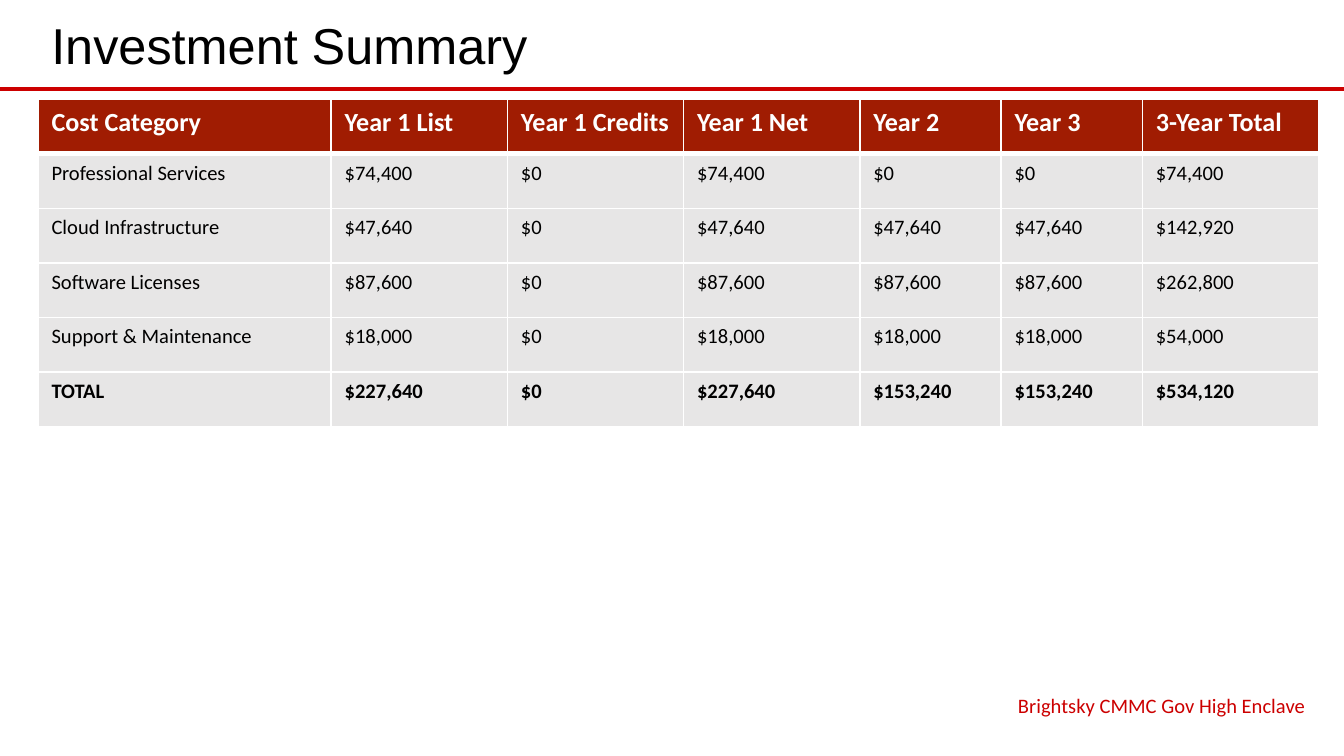
from lxml import etree
from pptx import Presentation
from pptx import util as u
from pptx.dml.color import RGBColor
from pptx.enum import shapes, text
from pptx.oxml.ns import qn

COLORS = {
    "rule": "CC0000",
    "header": "A01C02",
    "body": "E7E6E6",
    "border": "FFFFFF",
    "ink": "000000",
    "header_ink": "FFFFFF",
}
FORMATS = {
    "title": {"name": "Arial", "size": u.Pt(27), "color": "ink"},
    "footer": {"name": "Calibri", "size": u.Pt(11), "color": "rule"},
    "header": {"name": "Calibri", "size": u.Pt(14), "bold": True, "color": "header_ink"},
    "body": {"name": "Calibri", "size": u.Pt(11), "bold": False, "color": "ink"},
    "total": {"name": "Calibri", "size": u.Pt(11), "bold": True, "color": "ink"},
}
MARGIN, CONTENT_WIDTH = 0.72, 24.2
HEADINGS = ["Cost Category", "Year 1 List", "Year 1 Credits", "Year 1 Net",
            "Year 2", "Year 3", "3-Year Total"]
COLUMN_WIDTHS = [5.54, 3.33, 3.33, 3.33, 2.67, 2.67, 3.33]
ROW_HEIGHT = 1.03
# Category: year 1 list, year 1 credits, year 2, year 3
COSTS = {
    "Professional Services": (74400, 0, 0, 0),
    "Cloud Infrastructure": (47640, 0, 47640, 47640),
    "Software Licenses": (87600, 0, 87600, 87600),
    "Support & Maintenance": (18000, 0, 18000, 18000),
}


def cost_row(category, amounts):
    """Add the year 1 net and three-year total, and format as dollars."""
    listed, credits, year_2, year_3 = amounts
    net = listed - credits
    values = listed, credits, net, year_2, year_3, net + year_2 + year_3
    return [category] + [f"${value:,}" for value in values]


class SlideBuilder:
    def __init__(self, slide, colors, formats):
        self.slide = slide
        self.colors = colors
        self.formats = formats

    def color(self, key):
        return RGBColor.from_string(self.colors[key])

    def style(self, paragraph, role):
        for attribute, value in self.formats[role].items():
            if attribute == "color":
                paragraph.font.color.rgb = self.color(value)
            else:
                setattr(paragraph.font, attribute, value)

    def rule(self, y, width):
        line = self.slide.shapes.add_connector(
            shapes.MSO_CONNECTOR.STRAIGHT, 0, u.Cm(y), width, u.Cm(y))
        line.line.color.rgb = self.color("rule")
        line.line.width = u.Pt(2.25)
        etree.SubElement(line._element.spPr, qn("a:effectLst"))

    def text(self, words, top, left, width, height, role, align=text.PP_ALIGN.LEFT):
        box = self.slide.shapes.add_textbox(u.Cm(left), u.Cm(top), u.Cm(width), u.Cm(height))
        frame = box.text_frame
        frame.word_wrap = True
        frame.vertical_anchor = text.MSO_ANCHOR.MIDDLE
        paragraph = frame.paragraphs[0]
        paragraph.text = words
        paragraph.alignment = align
        self.style(paragraph, role)

    def borders(self, cell, **widths):
        properties = cell._tc.get_or_add_tcPr()
        for side in ("L", "R", "T", "B"):
            line = etree.SubElement(properties, qn(f"a:ln{side}"),
                                    w=str(u.Pt(widths.get(side, 1))))
            fill = etree.SubElement(line, qn("a:solidFill"))
            etree.SubElement(fill, qn("a:srgbClr"), val=self.colors["border"])

    def table(self, rows, left, top, column_widths, row_height):
        """Draw rows with the first as header and the last as total."""
        table = self.slide.shapes.add_table(
            len(rows), len(column_widths), u.Cm(left), u.Cm(top),
            u.Cm(sum(column_widths)), u.Cm(row_height * len(rows))).table
        for column, width in zip(table.columns, column_widths):
            column.width = u.Cm(width)
        roles = ["header"] + ["body"] * (len(rows) - 2) + ["total"]
        edges = {0: {"B": 3}, 1: {"T": 3}}
        for r, (row, role) in enumerate(zip(rows, roles)):
            table.rows[r].height = u.Cm(row_height)
            for c, words in enumerate(row):
                cell = table.cell(r, c)
                self.borders(cell, **edges.get(r, {}))
                cell.fill.solid()
                cell.fill.fore_color.rgb = self.color("header" if r == 0 else "body")
                cell.text = words
                self.style(cell.text_frame.paragraphs[0], role)


def main():
    deck = Presentation()
    deck.slide_width, deck.slide_height = u.Cm(25.4), u.Cm(14.29)
    slide = deck.slides.add_slide(deck.slide_layouts[6])
    builder = SlideBuilder(slide, COLORS, FORMATS)

    builder.rule(1.68, deck.slide_width)
    builder.text("Investment Summary", 0.1, MARGIN, CONTENT_WIDTH, 1.47, "title")

    totals = [sum(amounts) for amounts in zip(*COSTS.values())]
    rows = [HEADINGS]
    rows += [cost_row(category, amounts) for category, amounts in COSTS.items()]
    rows.append(cost_row("TOTAL", totals))
    builder.table(rows, MARGIN, 1.88, COLUMN_WIDTHS, ROW_HEIGHT)

    builder.text("Brightsky CMMC Gov High Enclave", 13, 15.98, 8.94, 0.66,
                 "footer", text.PP_ALIGN.RIGHT)
    deck.save("out.pptx")


if __name__ == "__main__":
    main()
